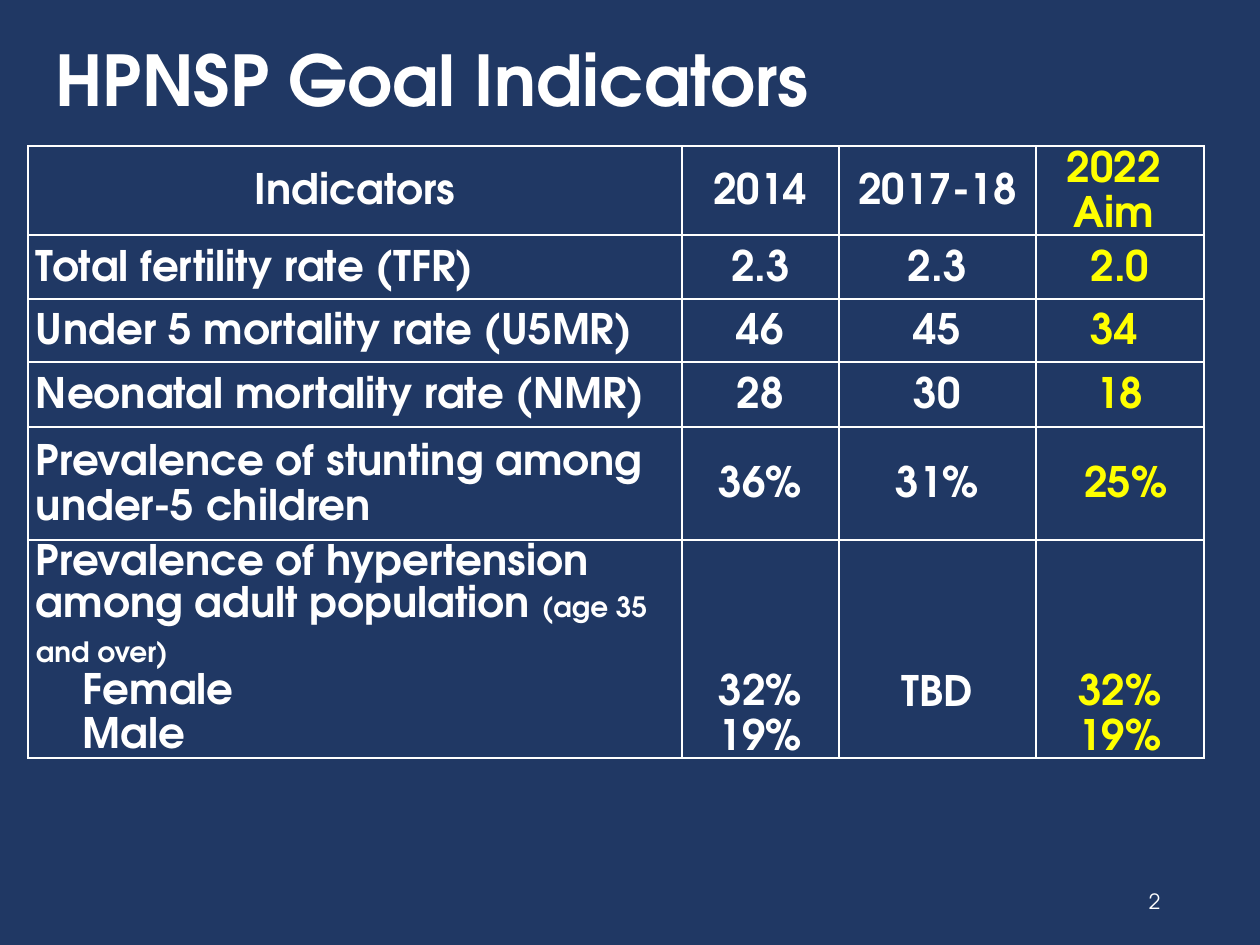
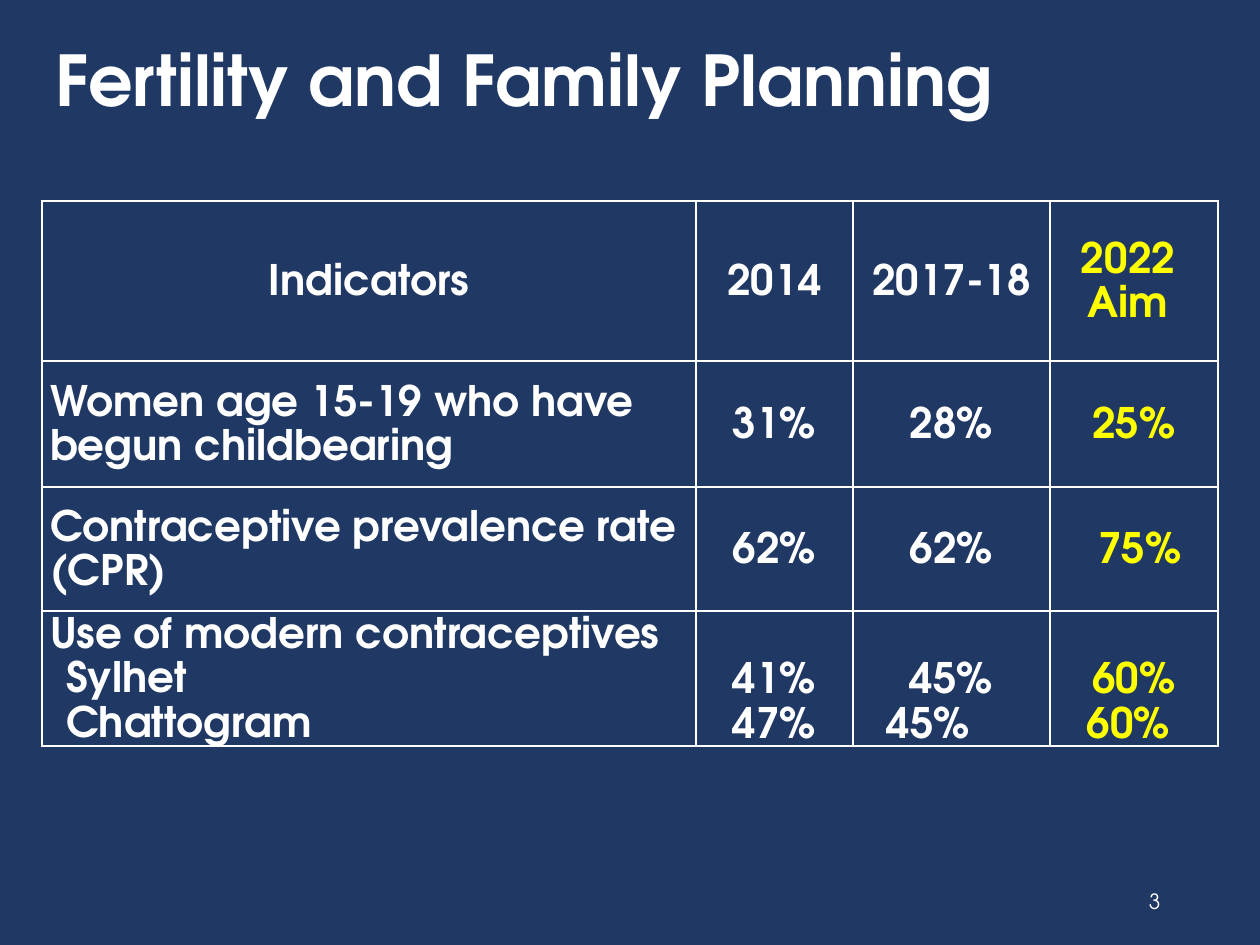
from pptx import Presentation, util as u
from pptx.dml.color import RGBColor
from pptx.enum import text
from pptx.oxml import parse_xml
from pptx.oxml.ns import nsdecls

NAVY = RGBColor(0x20, 0x38, 0x64)
WHITE = RGBColor(0xFF, 0xFF, 0xFF)
YELLOW = RGBColor(0xFF, 0xFF, 0x00)
FONT = "TeX Gyre Adventor"
PX = u.Inches(1) // 126
LEFT, CENTER, RIGHT = text.PP_ALIGN.LEFT, text.PP_ALIGN.CENTER, text.PP_ALIGN.RIGHT
MIDDLE, BOTTOM = text.MSO_ANCHOR.MIDDLE, text.MSO_ANCHOR.BOTTOM

COLUMNS = [654, 157, 197, 168]
LINE = 44  # height of one table text line
TABLE_PITCH, NOTE_PITCH = u.Pt(25.4), u.Pt(24)
HEADER = [["Indicators"], ["2014"], ["2017-18"], ["2022 ", "Aim\u00a0"]]

# A line given as a pair ends in a smaller note; later label lines are indented.
slides = [
    {
        "title": "HPNSP Goal Indicators", "number": "2",
        "corner": (28, 146), "heights": [89, 64, 63, 65, 113, 218], "indent": 47,
        "rows": [
            [["Total fertility rate (TFR)"], ["2.3"], ["2.3"], ["2.0"]],
            [["Under 5 mortality rate (U5MR)"], ["46"], ["45"], ["34\u00a0"]],
            [["Neonatal mortality rate (NMR)"], ["28"], ["30"], ["18"]],
            [["Prevalence of stunting among under-5 children"],
             ["36%"], ["31%"], ["\u00a025%"]],
            [[("Prevalence of hypertension among adult population ",
               "(age 35 and over)"), "Female", "Male"],
             ["32%", "19%"], ["TBD"], ["32%", "19%"]],
        ],
        "right_margins": {},
    },
    {
        "title": "Fertility and Family Planning", "number": "3",
        "corner": (42, 201), "heights": [160, 126, 124, 135], "indent": 16,
        "rows": [
            [["Women age 15-19 who have begun childbearing"], ["31%"], ["28%"], ["25%"]],
            [["Contraceptive prevalence rate (CPR)"], ["62%"], ["62%"], ["\u00a075%"]],
            [["Use of modern contraceptives", "Sylhet", "Chattogram"],
             ["41%", "47%"], ["45%", "45%"], ["60%", "60%\u00a0"]],
        ],
        # (row, column, line): pushes one value left of centre
        "right_margins": {(3, 2, 1): 46},
    },
]


def write(paragraph, words, size, color=WHITE, bold=True, align=LEFT, spacing=1.0):
    paragraph.alignment, paragraph.line_spacing = align, spacing
    run = paragraph.add_run()
    run.text = words
    run.font.color.rgb = color
    for name, value in {"name": FONT, "size": u.Pt(size), "bold": bold}.items():
        setattr(run.font, name, value)


def add_label(slide, box, words, **style):
    frame = slide.shapes.add_textbox(*(n * PX for n in box)).text_frame
    frame.word_wrap, frame.vertical_anchor = True, MIDDLE
    write(frame.paragraphs[0], words, **style)


deck = Presentation()
deck.slide_width, deck.slide_height = 1260 * PX, 945 * PX

for page in slides:
    slide = deck.slides.add_slide(deck.slide_layouts[6])
    slide.background.fill.solid()
    slide.background.fill.fore_color.rgb = NAVY

    # Title and page number
    add_label(slide, (43, 22, 1130, 123), page["title"], size=40, spacing=0.9)
    add_label(slide, (890, 876, 283, 50), page["number"], size=12, bold=False, align=RIGHT)

    # Indicator table
    rows, heights = [HEADER] + page["rows"], page["heights"]
    left, top = page["corner"]
    indicators = slide.shapes.add_table(
        len(rows), len(COLUMNS), left * PX, top * PX,
        sum(COLUMNS) * PX, sum(heights) * PX).table
    indicators.first_row = indicators.horz_banding = False
    for column, width in zip(indicators.columns, COLUMNS):
        column.width = width * PX
    for row, height in zip(indicators.rows, heights):
        row.height = height * PX

    for r, row in enumerate(rows):
        groups = len(row[0]) - 1
        for c, lines in enumerate(row):
            cell = indicators.cell(r, c)
            # Values of a grouped row sit beside its indented labels
            grouped = groups > 0 and c > 0
            layout = {
                "margin_left": 8 * PX, "margin_right": 8 * PX, "margin_top": 0,
                "margin_bottom": (groups - len(lines)) * LINE * PX if grouped else 0,
                "vertical_anchor": BOTTOM if grouped else MIDDLE,
            }
            for name, value in layout.items():
                setattr(cell, name, value)

            for side in "LRTB":
                cell._tc.get_or_add_tcPr().append(parse_xml(
                    f'<a:ln{side} {nsdecls("a")} w="12700"><a:solidFill>'
                    f'<a:srgbClr val="{WHITE}"/></a:solidFill></a:ln{side}>'))
            cell.fill.solid()
            cell.fill.fore_color.rgb = NAVY

            for i, line in enumerate(lines):
                frame = cell.text_frame
                paragraph = frame.add_paragraph() if i else frame.paragraphs[0]
                parts = line if isinstance(line, tuple) else (line,)
                for words, size in zip(parts, (24, 16)):
                    write(paragraph, words, size,
                          spacing=NOTE_PITCH if len(parts) > 1 else TABLE_PITCH,
                          color=YELLOW if c == 3 else WHITE,
                          align=LEFT if c == 0 and r else CENTER)
                margins = paragraph._p.get_or_add_pPr()
                if c == 0 and i:
                    margins.set("marL", str(page["indent"] * PX))
                if (r, c, i) in page["right_margins"]:
                    margins.set("marR", str(page["right_margins"][r, c, i] * PX))

deck.save("out.pptx")
